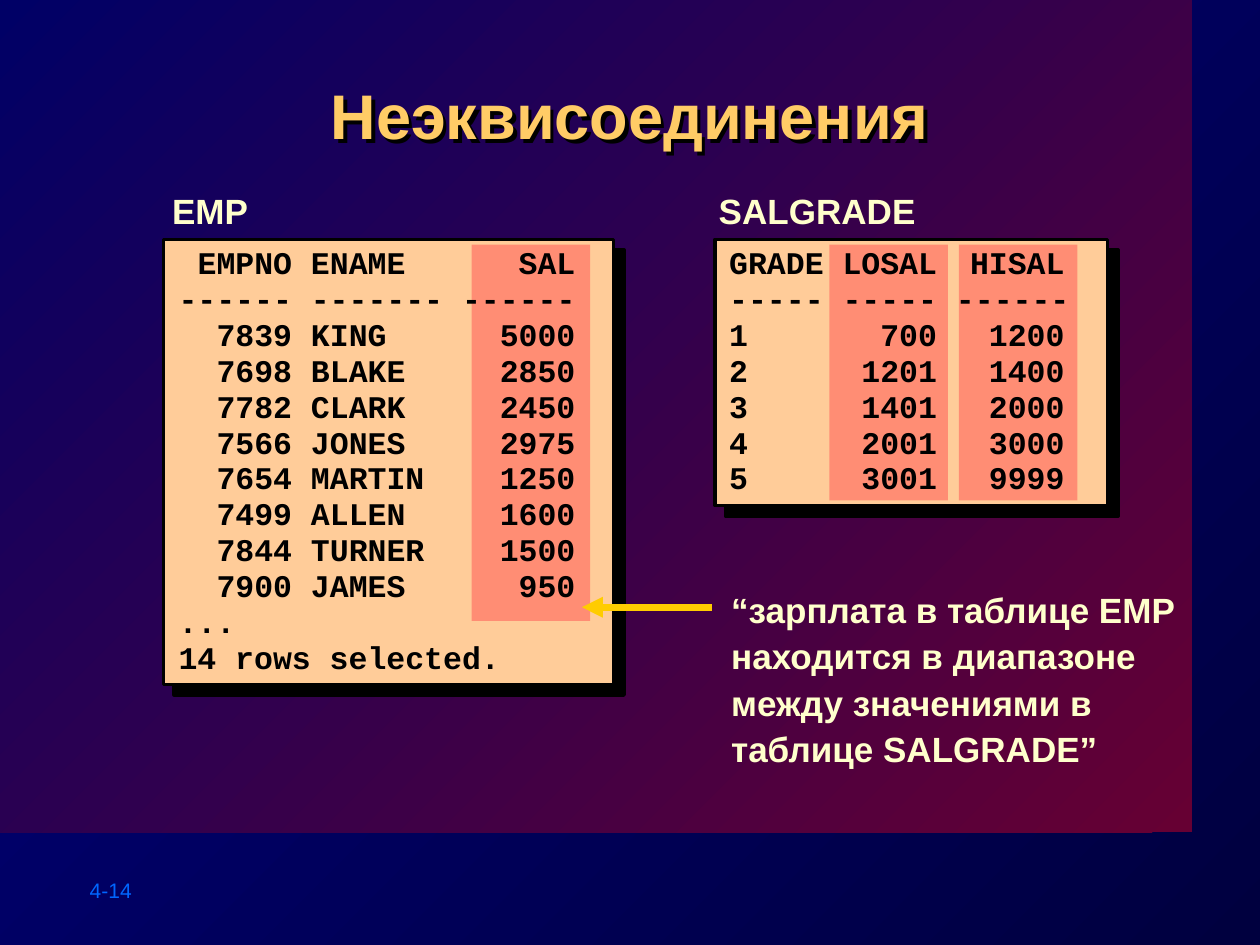
from dataclasses import dataclass

from lxml.etree import SubElement
from pptx import Presentation
from pptx.dml.color import RGBColor
from pptx.dml.fill import FillFormat
from pptx.enum.shapes import MSO_CONNECTOR, MSO_SHAPE
from pptx.enum.text import PP_ALIGN
from pptx.oxml.ns import qn
from pptx.shapes.autoshape import Shape
from pptx.slide import Slide
from pptx.util import Cm, Pt

COLORS = {
    "night": "00003F",
    "navy": "000080",
    "wine": "660033",
    "indigo": "000066",
    "number": "0066FF",
    "peach": "FFCC99",
    "black": "000000",
    "title": "FFCC66",
    "cream": "FFFFCC",
    "highlight": "FF5050",
    "arrow": "FFCC00",
}


@dataclass(frozen=True)
class Area:
    left: float
    top: float
    width: float
    height: float

    def lengths(self) -> tuple[Cm, Cm, Cm, Cm]:
        return Cm(self.left), Cm(self.top), Cm(self.width), Cm(self.height)


@dataclass(frozen=True)
class Listing:
    name: str
    label: Area
    card: Area
    text: Area
    highlights: tuple[Area, ...]
    tabs: tuple[tuple[float, str], ...]
    lines: tuple[str, ...]


EMP = Listing(
    name="EMP",
    label=Area(3.22, 3.7, 2.06, 1.09),
    card=Area(3.3, 4.83, 9.07, 8.97),
    text=Area(3.35, 4.83, 8.99, 8.94),
    highlights=(Area(9.51, 4.93, 2.39, 7.59),),
    tabs=((2.29, "r"), (2.67, "l"), (8.0, "r")),
    lines=(
        "\tEMPNO\tENAME\tSAL",
        "------ ------- ------",
        "\t7839\tKING\t5000",
        "\t7698\tBLAKE\t2850",
        "\t7782\tCLARK\t2450",
        "\t7566\tJONES\t2975",
        "\t7654\tMARTIN\t1250",
        "\t7499\tALLEN\t1600",
        "\t7844\tTURNER\t1500",
        "\t7900\tJAMES\t950",
        "...",
        "14 rows selected.",
    ),
)
SALGRADE = Listing(
    name="SALGRADE",
    label=Area(14.24, 3.7, 4.47, 1.09),
    card=Area(14.41, 4.83, 7.92, 5.36),
    text=Area(14.45, 4.83, 7.85, 5.33),
    highlights=(Area(16.72, 4.93, 2.39, 5.16), Area(19.33, 4.93, 2.39, 5.16)),
    tabs=((4.19, "r"), (6.76, "r")),
    lines=(
        "GRADE\tLOSAL\tHISAL",
        "----- ----- ------",
        "1\t700\t1200",
        "2\t1201\t1400",
        "3\t1401\t2000",
        "4\t2001\t3000",
        "5\t3001\t9999",
    ),
)


def rgb(name: str) -> RGBColor:
    return RGBColor.from_string(COLORS[name])


def set_gradient(fill: FillFormat, start: str, end: str) -> None:
    fill.gradient()
    fill.gradient_angle = 135
    for stop, color, position in zip(fill.gradient_stops, (start, end), (0, 1)):
        stop.color.rgb = rgb(color)
        stop.position = position


def add_shadow(shape: Shape, distance: float) -> None:
    shape.shadow.inherit = False
    effects = shape.element.spPr.find(qn("a:effectLst"))
    shadow = SubElement(
        effects, qn("a:outerShdw"), dist=str(Pt(distance)), dir="2700000", algn="ctr", rotWithShape="0"
    )
    SubElement(shadow, qn("a:srgbClr"), val=COLORS["black"])


def add_rectangle(page: Slide, area: Area) -> Shape:
    rectangle = page.shapes.add_shape(MSO_SHAPE.RECTANGLE, *area.lengths())
    rectangle.shadow.inherit = False
    rectangle.line.fill.background()
    return rectangle


def add_card(page: Slide, area: Area) -> None:
    card = add_rectangle(page, area)
    card.fill.solid()
    card.fill.fore_color.rgb = rgb("peach")
    card.line.color.rgb = rgb("black")
    card.line.width = Pt(2)
    add_shadow(card, 8.5)


def add_highlight(page: Slide, area: Area) -> None:
    highlight = add_rectangle(page, area)
    highlight.fill.solid()
    highlight.fill.fore_color.rgb = rgb("highlight")
    color = highlight.element.spPr.find(qn("a:solidFill")).find(qn("a:srgbClr"))
    SubElement(color, qn("a:alpha"), val="50000")


def add_text(
    page: Slide,
    area: Area,
    text: str,
    *,
    size: float = 20,
    color: str = "cream",
    font: str = "Arial",
    bold: bool = True,
    align: PP_ALIGN = PP_ALIGN.LEFT,
    spacing: float = 1.0,
    tabs: tuple[tuple[float, str], ...] = (),
) -> Shape:
    box = page.shapes.add_textbox(*area.lengths())
    frame = box.text_frame
    frame.word_wrap = True
    frame.text = text
    for para in frame.paragraphs:
        para.alignment = align
        para.line_spacing = spacing
        if tabs:
            stops = SubElement(para._p.get_or_add_pPr(), qn("a:tabLst"))
            for position, side in tabs:
                SubElement(stops, qn("a:tab"), pos=str(Cm(position)), algn=side)
        for span in para.runs:
            span.font.name = font
            span.font.size = Pt(size)
            span.font.bold = bold
            span.font.color.rgb = rgb(color)
    return box


def add_arrow(page: Slide, start: float, end: float, height: float) -> None:
    arrow = page.shapes.add_connector(MSO_CONNECTOR.STRAIGHT, Cm(start), Cm(height), Cm(end), Cm(height))
    arrow.line.color.rgb = rgb("arrow")
    arrow.line.width = Pt(4)
    SubElement(arrow.line._get_or_add_ln(), qn("a:tailEnd"), type="triangle")
    SubElement(arrow.element.spPr, qn("a:effectLst"))


def main() -> None:
    deck = Presentation()
    deck.slide_width, deck.slide_height = Cm(25.4), Cm(19.05)
    page = deck.slides.add_slide(deck.slide_layouts[6])
    set_gradient(page.background.fill, "night", "navy")
    panel = add_rectangle(page, Area(0, 0, 24.03, 16.78))
    set_gradient(panel.fill, "wine", "indigo")
    add_text(page, Area(1.56, 17.56, 2.82, 0.76), "4-14", size=12, color="number", bold=False)
    title = add_text(
        page, Area(2.56, 1.42, 20.27, 2.44), "Неэквисоединения",
        size=36, color="title", align=PP_ALIGN.CENTER,
    )
    add_shadow(title, 3)
    for listing in (EMP, SALGRADE):
        add_card(page, listing.card)
        add_text(page, listing.label, listing.name)
        for area in listing.highlights:
            add_highlight(page, area)
        add_text(
            page, listing.text, "\n".join(listing.lines),
            size=18, color="black", font="Courier New", spacing=0.95, tabs=listing.tabs,
        )
    quote = "“зарплата в таблице EMP\nнаходится в диапазоне\nмежду значениями в\nтаблице SALGRADE”"
    add_text(page, Area(14.49, 11.66, 9.7, 3.99), quote, spacing=1.1)
    add_arrow(page, 14.35, 11.73, 12.24)
    deck.save("out.pptx")


if __name__ == "__main__":
    main()
